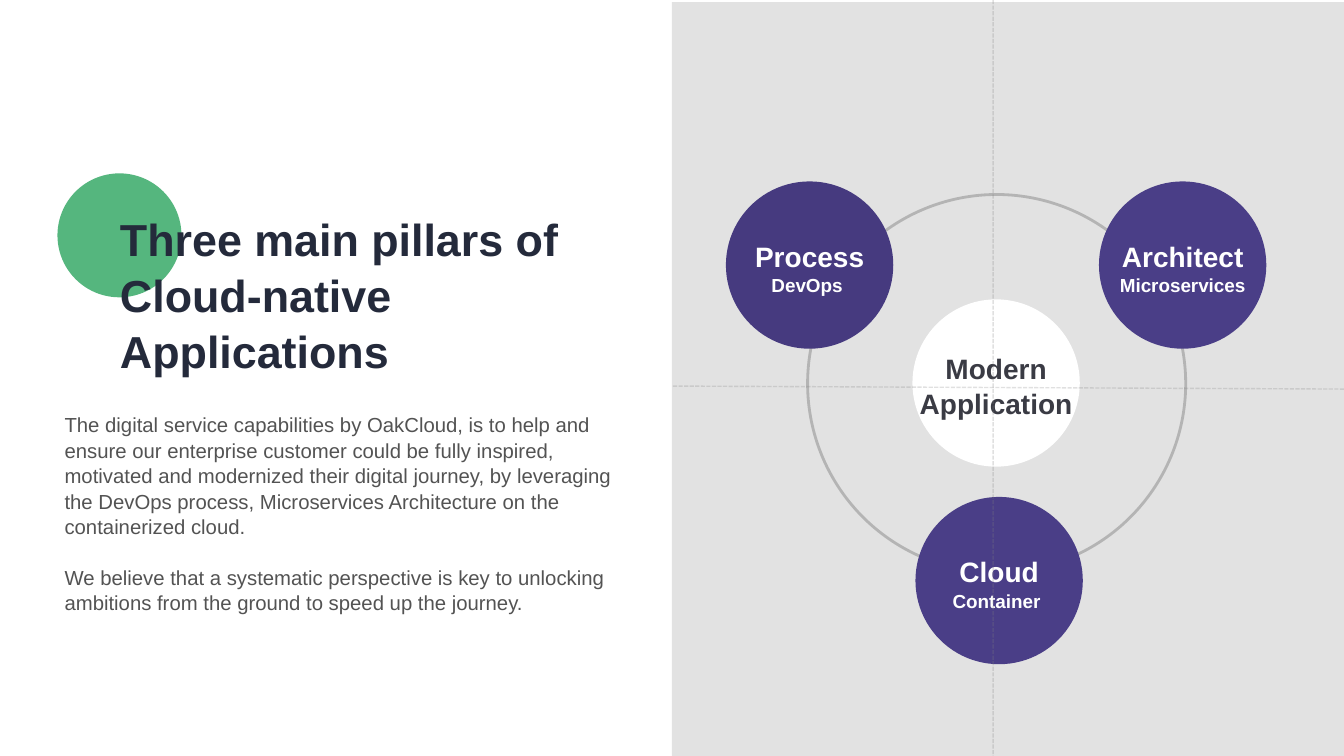
from pptx import Presentation
from pptx import util as u
from pptx.dml.color import RGBColor
from pptx.enum import dml, shapes, text
from pptx.oxml.ns import qn
from lxml import etree

# Content
TITLE = ["Three main pillars of", "Cloud-native Applications"]
BODY = [
    "The digital service capabilities by OakCloud, is to help and ensure our "
    "enterprise customer could be fully inspired, motivated and modernized their "
    "digital journey, by leveraging the DevOps process, Microservices Architecture "
    "on the containerized cloud.",
    "We believe that a systematic perspective is key to unlocking ambitions from "
    "the ground to speed up the journey.",
]

WHITE = RGBColor(0xFF, 0xFF, 0xFF)
GREEN = RGBColor(0x55, 0xB6, 0x7E)
VIOLET = RGBColor(0x4A, 0x3E, 0x87)
DEEP = RGBColor(0x46, 0x3A, 0x7F)
NAVY = RGBColor(0x24, 0x2A, 0x3B)
INK = RGBColor(0x3A, 0x3B, 0x44)
TEXT = RGBColor(0x53, 0x53, 0x53)
PANEL = RGBColor(0xA6, 0xA6, 0xA6)
RING = RGBColor(0x40, 0x40, 0x40)
AXIS = RGBColor(0x80, 0x80, 0x80)

# Lines of text, sizes, centre x and y, fill, font colour, label width and height
NODES = [
    (["Process", "DevOps "], (20, 13.5), (8.03, 2.63), DEEP, WHITE, (2.38, 0.66)),
    (["Modern", "Application"], (20, 20), (9.88, 3.8), WHITE, INK, (2.14, 0.77)),
    (["Architect", "Microservices"], (20, 13.5), (11.73, 2.63), VIOLET, WHITE, (1.72, 0.66)),
    (["Cloud", "Container "], (20, 13.5), (9.91, 5.76), VIOLET, WHITE, (2.02, 0.66)),
]

# Grid: the grey panel fills the right half
W, H = 13.33, 7.5
HALF = W / 2
NODE = 1.66
DROP = 0.02
AXES = [((9.85, 0), (9.85, H)), ((W, 3.86), (HALF, 3.83))]

prs = Presentation()
prs.slide_width, prs.slide_height = u.Inches(W), u.Inches(H)
slide = prs.slides.add_slide(prs.slide_layouts[1])
items = slide.shapes


def fade(paint, share):
    """Give a solid fill partial opacity, in percent."""
    tint = paint._xPr.find(".//" + qn("a:srgbClr"))
    etree.SubElement(tint, qn("a:alpha")).set("val", str(share * 1000))


def place(item, x, y, w, h):
    item.left, item.top = u.Inches(x), u.Inches(y)
    item.width, item.height = u.Inches(w), u.Inches(h)


def draw(kind, x, y, w, h, fill=None):
    item = items.add_shape(kind, *map(u.Inches, (x, y, w, h)))
    item.shadow.inherit = False
    if fill is None:
        item.fill.background()
    else:
        item.fill.solid()
        item.fill.fore_color.rgb = fill
        item.line.fill.background()
    return item


def write(item, lines, sizes, color, bold, align, gap=0):
    frame = item.text_frame
    frame.text = "\n".join(lines)
    frame.word_wrap = True
    frame.auto_size = text.MSO_AUTO_SIZE.NONE
    for i, (para, size) in enumerate(zip(frame.paragraphs, sizes)):
        props = para._p.get_or_add_pPr()
        props.set("marL", "0")
        props.set("indent", "0")
        etree.SubElement(props, qn("a:buNone"))
        para.alignment = align
        para.line_spacing = 1.05
        para.space_before = u.Pt(gap if i else 0)
        for run in para.runs:
            run.font.name, run.font.size = "Arial", u.Pt(size)
            run.font.bold, run.font.color.rgb = bold, color
    return frame


# Panel, title dot and ring
OVAL = shapes.MSO_SHAPE.OVAL
panel = draw(shapes.MSO_SHAPE.RECTANGLE, HALF, DROP, HALF, H - DROP, PANEL)
fade(panel.fill, 32)
draw(OVAL, 0.57, 1.72, 1.23, 1.23, GREEN)
ring = draw(OVAL, 8.01, 1.93, 3.75, 3.75)
ring.line.color.rgb = RING
ring.line.width = u.Pt(2)
fade(ring.line.fill, 27)

# Pillars around the modern application
for lines, sizes, (x, y), fill, color, (w, h) in NODES:
    draw(OVAL, x - NODE / 2, y - NODE / 2, NODE, NODE, fill)
    spot = (x - w / 2, y - h / 2 + DROP, w, h)
    label = items.add_textbox(*map(u.Inches, spot))
    frame = write(label, lines, sizes, color, True, text.PP_ALIGN.CENTER)
    frame.vertical_anchor = text.MSO_ANCHOR.MIDDLE

# Dashed axes
for start, end in AXES:
    axis = items.add_connector(shapes.MSO_CONNECTOR.STRAIGHT, *map(u.Inches, start + end))
    axis.line.color.rgb = AXIS
    axis.line.width = u.Pt(1)
    axis.line.dash_style = dml.MSO_LINE.SQUARE_DOT
    fade(axis.line.fill, 24)
    etree.SubElement(axis.element.spPr, qn("a:effectLst"))

# Title and body, brought to the front
LEFT = text.PP_ALIGN.LEFT
title, body = items.title, slide.placeholders[1]
place(title, 1.09, 2.02, 4.76, 1.72)
place(body, 0.54, 4.03, 5.63, 2.05)
write(title, TITLE, (32, 32), NAVY, True, LEFT)
write(body, BODY, (14.5, 14.5), TEXT, False, LEFT, gap=17.5)
for item in (title, body):
    item.text_frame.vertical_anchor = text.MSO_ANCHOR.TOP
    items.element.append(item.element)

prs.save("out.pptx")
